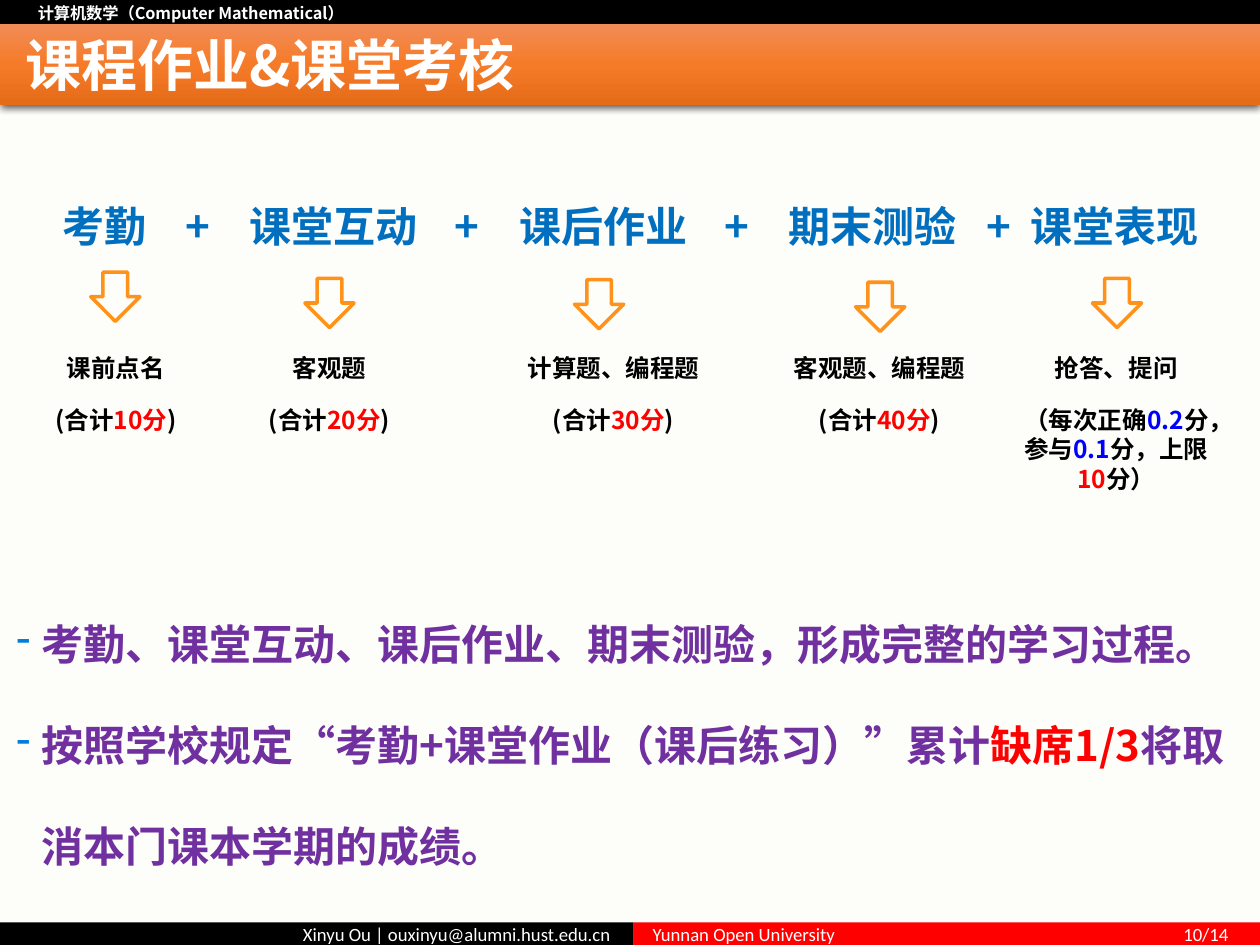
from copy import deepcopy

from lxml import etree
from pptx import Presentation
from pptx.dml.color import RGBColor
from pptx.enum.shapes import MSO_SHAPE
from pptx.enum.text import MSO_ANCHOR, PP_ALIGN
from pptx.oxml import parse_xml
from pptx.oxml.ns import nsdecls, qn
from pptx.util import Inches, Pt

RECTANGLE, DOWN_ARROW = MSO_SHAPE.RECTANGLE, MSO_SHAPE.DOWN_ARROW
TOP, MIDDLE = MSO_ANCHOR.TOP, MSO_ANCHOR.MIDDLE
LEFT, CENTER, RIGHT = PP_ALIGN.LEFT, PP_ALIGN.CENTER, PP_ALIGN.RIGHT
CJK, LATIN = "Noto Sans CJK SC", "Calibri"
COLORS = {
    "paper": "FDFDF9", "black": "000000", "white": "FFFFFF", "red": "FF0000",
    "blue": "0000FF", "heading": "006FC0", "bullet": "007EDE", "rule": "7030A0",
    "arrow": "FF921A", "bar_top": "F18C57", "bar_mid": "F67B28", "bar_low": "E56C19",
}


def write(paragraph, pieces, size, color, font=CJK, align=LEFT):
    paragraph.alignment = align
    paragraph.font.size = Pt(size)
    paragraph.font.bold = font == CJK
    paragraph.font.name = font
    paragraph.font.color.rgb = RGBColor.from_string(COLORS[color])
    east_asian = etree.SubElement(paragraph.font._element, qn("a:ea"))
    east_asian.set("typeface", font)
    for text, accent in pieces:
        run = paragraph.add_run()
        run.text = text
        if accent:
            run.font.color.rgb = RGBColor.from_string(COLORS[accent])


def set_frame(frame, left, top=0, right=0, anchor=TOP):
    frame.word_wrap = True
    frame.vertical_anchor = anchor
    frame.margin_left, frame.margin_top = Inches(left), Inches(top)
    frame.margin_right, frame.margin_bottom = Inches(right), 0
    return frame


prs = Presentation()
prs.slide_width, prs.slide_height = Inches(10), Inches(7.5)
slide = prs.slides.add_slide(prs.slide_layouts[5])
slide.background.fill.solid()
slide.background.fill.fore_color.rgb = RGBColor.from_string(COLORS["paper"])

strips = [
    (0, 0, 10, 0.21, "black", 0.3, "计算机数学（Computer Mathematical）", 9.3, CJK, LEFT),
    (0, 7.32, 5.03, 0.18, "black", 0.15, "Xinyu Ou | ouxinyu@alumni.hust.edu.cn ", 10.7, LATIN, RIGHT),
    (5.03, 7.32, 4.97, 0.18, "red", 0.15, "Yunnan Open University\t10/14", 10.7, LATIN, LEFT),
]
for left, top, width, height, fill, inset, text, size, font, align in strips:
    strip = slide.shapes.add_shape(RECTANGLE, Inches(left), Inches(top), Inches(width), Inches(height))
    strip.shadow.inherit = False
    strip.fill.solid()
    strip.fill.fore_color.rgb = RGBColor.from_string(COLORS[fill])
    strip.line.fill.background()
    strip_line = set_frame(strip.text_frame, inset, right=0.15, anchor=MIDDLE).paragraphs[0]
    if "\t" in text:
        strip_line._p.get_or_add_pPr().append(parse_xml(
            f'<a:tabLst {nsdecls("a")}><a:tab pos="{Inches(4.57)}" algn="r"/></a:tabLst>'))
    write(strip_line, [(text, None)], size, "white", font, align)

title_bar = slide.shapes.add_shape(RECTANGLE, 0, Inches(0.19), Inches(10), Inches(0.64))
title_bar.line.fill.background()
title_bar.fill.gradient()
title_bar.fill.gradient_angle = 270
first_stop = title_bar._element.spPr.find(".//" + qn("a:gs"))
first_stop.addnext(deepcopy(first_stop))
for stop, position, name in zip(title_bar.fill.gradient_stops, (0, 0.5, 1), ("bar_top", "bar_mid", "bar_low")):
    stop.position = position
    stop.color.rgb = RGBColor.from_string(COLORS[name])
title_bar.shadow.inherit = False
title_bar._element.spPr.find(qn("a:effectLst")).append(parse_xml(
    f'<a:outerShdw {nsdecls("a")} blurRad="{Pt(4.5)}" dist="{Pt(1.5)}" dir="5400000" rotWithShape="0">'
    f'<a:srgbClr val="{COLORS["black"]}"><a:alpha val="63000"/></a:srgbClr></a:outerShdw>'))

title = slide.shapes.title
title.left, title.top, title.width, title.height = 0, Inches(0.24), Inches(10), Inches(0.54)
write(set_frame(title.text_frame, 0.2, anchor=MIDDLE).paragraphs[0], [("课程作业&课堂考核", None)], 32, "white")
title_bar._element.addnext(title._element)

formula_left = 0.5
formula_stops = [1.47, 1.98, 3.61, 4.12, 5.75, 6.26, 7.83, 8.18]
formula_box = slide.shapes.add_textbox(0, Inches(1.58), Inches(10), Inches(0.42))
formula = set_frame(formula_box.text_frame, formula_left, 0.01).paragraphs[0]
tabs = "".join(f'<a:tab pos="{Inches(stop - formula_left)}" algn="l"/>' for stop in formula_stops)
formula._p.get_or_add_pPr().append(parse_xml(f'<a:tabLst {nsdecls("a")}>{tabs}</a:tabLst>'))
parts = ["考勤", "课堂互动", "课后作业", "期末测验", "课堂表现"]
write(formula, [("\t+\t".join(parts), None)], 24, "heading")

components = [
    (0.38, 1.08, 0.72, 2.16, "课前点名", [("(合计", None), ("10分", "red"), (")", None)]),
    (1.7, 1.83, 2.42, 2.21, "客观题", [("(合计", None), ("20分", "red"), (")", None)]),
    (3.99, 1.76, 4.56, 2.22, "计算题、编程题", [("(合计", None), ("30分", "red"), (")", None)]),
    (6.22, 1.52, 6.79, 2.24, "客观题、编程题", [("(合计", None), ("40分", "red"), (")", None)]),
    (8.1, 1.52, 8.67, 2.21, "抢答、提问",
     [("（每次正确", None), ("0.2", "blue"), ("分，参与", None), ("0.1", "blue"),
      ("分，上限", None), ("10", "red"), ("分）", None)]),
]
for left, width, arrow_left, arrow_top, task, score in components:
    arrow = slide.shapes.add_shape(DOWN_ARROW, Inches(arrow_left), Inches(arrow_top), Inches(0.39), Inches(0.39))
    arrow.shadow.inherit = False
    arrow.fill.background()
    arrow.line.color.rgb = RGBColor.from_string(COLORS["arrow"])
    arrow.line.width = Pt(2)
    component_box = slide.shapes.add_textbox(Inches(left), Inches(2.62), Inches(width), Inches(0.84))
    component = set_frame(component_box.text_frame, 0, 0.18)
    write(component.paragraphs[0], [(task, None)], 14, "black", align=CENTER)
    score_line = component.add_paragraph()
    score_line.space_before = Pt(13)
    write(score_line, score, 14, "black", align=CENTER)

rules = [
    [("考勤、课堂互动、课后作业、期末测验，形成完整的学习过程。", None)],
    [("按照学校规定“考勤+课堂作业（课后练习）”累计", None), ("缺席1/3", "red"),
     ("将取消本门课本学期的成绩。", None)],
]
rules_box = slide.shapes.add_textbox(Inches(0.11), Inches(4.5), Inches(9.78), Inches(2.31))
rules_frame = set_frame(rules_box.text_frame, 0, 0.01)
for index, rule in enumerate(rules):
    rule_line = rules_frame.add_paragraph() if index else rules_frame.paragraphs[0]
    rule_line.line_spacing = 2.0
    properties = rule_line._p.get_or_add_pPr()
    properties.set("marL", str(Inches(0.22)))
    properties.set("indent", str(Inches(-0.2)))
    properties.append(parse_xml(
        f'<a:buClr {nsdecls("a")}><a:srgbClr val="{COLORS["bullet"]}"/></a:buClr>'))
    properties.append(parse_xml(f'<a:buChar {nsdecls("a")} char="-"/>'))
    write(rule_line, rule, 24, "rule")

prs.save("out.pptx")
